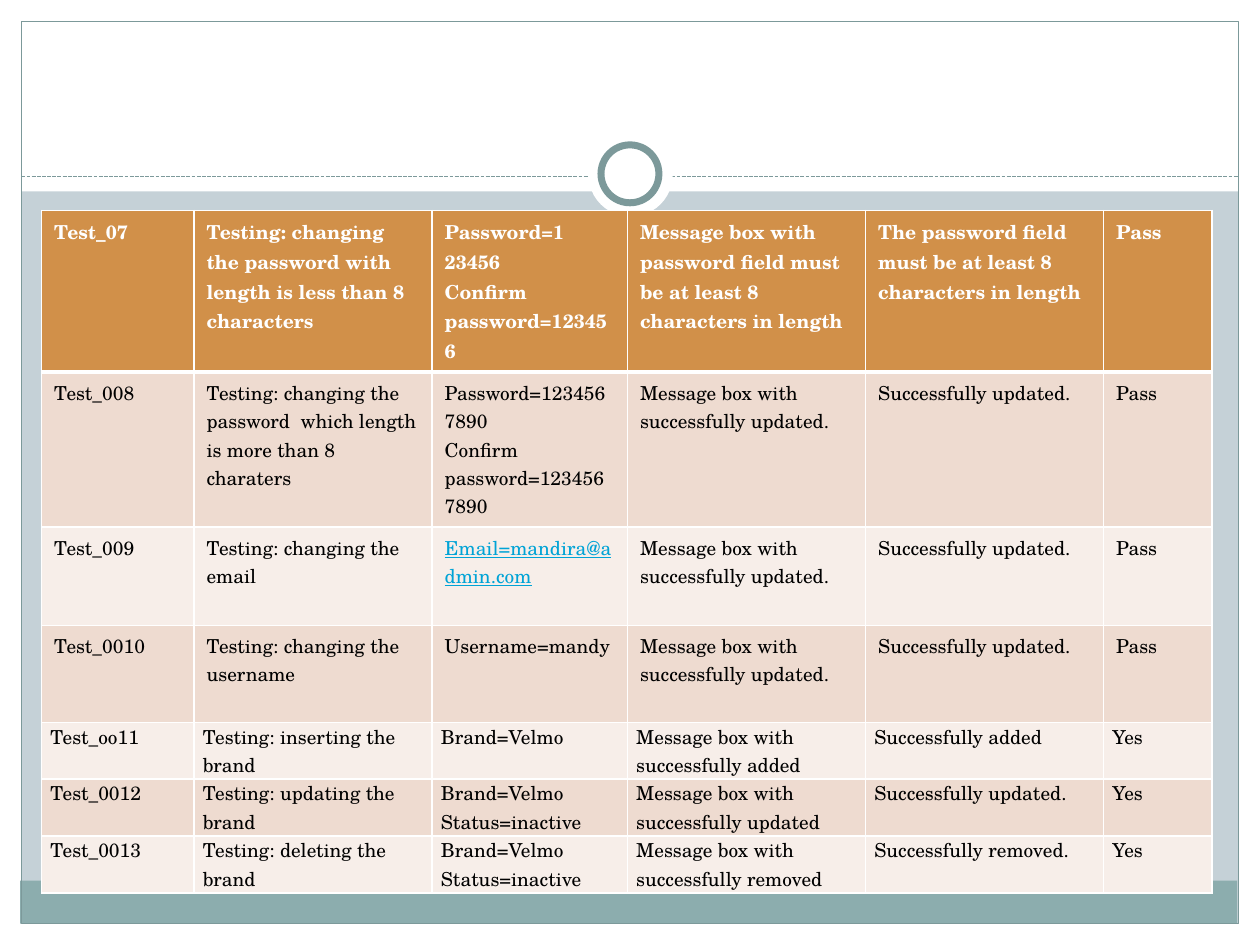
"""Build a slide with a table of test cases on a framed background."""
from dataclasses import dataclass
from typing import Optional

from lxml.etree import SubElement
from pptx import Presentation
from pptx.dml.color import RGBColor
from pptx.enum.dml import MSO_LINE
from pptx.enum.shapes import MSO_CONNECTOR, MSO_SHAPE
from pptx.oxml.ns import qn
from pptx.slide import Slide
from pptx.table import _Cell
from pptx.util import Inches, Pt

WHITE = RGBColor(0xFF, 0xFF, 0xFF)
BLACK = RGBColor(0x00, 0x00, 0x00)
BACKGROUND = RGBColor(0xC5, 0xD1, 0xD7)
FOOTER = RGBColor(0x8C, 0xAD, 0xAE)
FRAME = RGBColor(0x7C, 0x99, 0x9A)
HEADER = RGBColor(0xD1, 0x90, 0x49)
BAND_DARK = RGBColor(0xEE, 0xDB, 0xD0)
BAND_LIGHT = RGBColor(0xF7, 0xEE, 0xE9)
LINK = RGBColor(0x00, 0xA3, 0xD6)
FONT = "TeX Gyre Schola"


@dataclass(frozen=True)
class Panel:
    left: float
    top: float
    width: float
    height: float
    fill: Optional[RGBColor] = WHITE
    line_width: float = 0
    kind: MSO_SHAPE = MSO_SHAPE.RECTANGLE


@dataclass(frozen=True)
class TestCase:
    height: float
    texts: tuple[str, ...]
    compact: bool = False


PANELS = (
    Panel(0, 7.33, 10, 0.17),
    Panel(0, 0, 10, 1.52),
    Panel(0, 0, 0.17, 7.5),
    Panel(9.83, 0, 0.17, 7.5),
    Panel(0.16, 6.99, 9.66, 0.34, FOOTER),
    Panel(0.17, 0.17, 9.66, 7.16, None, 0.75),
)
RINGS = (
    Panel(4.67, 1.05, 0.67, 0.67, kind=MSO_SHAPE.OVAL),
    Panel(4.77, 1.15, 0.46, 0.46, line_width=4, kind=MSO_SHAPE.OVAL),
)
COLUMN_WIDTHS = (1.21, 1.89, 1.55, 1.89, 1.89, 0.86)
EMAIL = "Email=mandira@admin.com"
UPDATED = "Successfully updated."
UPDATED_BOX = "Message box with successfully updated."
TEST_CASES = (
    TestCase(1.28, (
        "Test_07",
        "Testing: changing the password with length is less than 8 characters",
        "Password=1\n23456\nConfirm password=123456",
        "Message box with password field must be at least 8 characters in length",
        "The password field must be at least 8 characters in length",
        "Pass",
    )),
    TestCase(1.23, (
        "Test_008",
        "Testing: changing the password  which length is more than 8 charaters",
        "Password=1234567890\nConfirm password=1234567890",
        UPDATED_BOX, UPDATED, "Pass",
    )),
    TestCase(0.78, ("Test_009", "Testing: changing the email", EMAIL,
                    UPDATED_BOX, UPDATED, "Pass")),
    TestCase(0.77, ("Test_0010", "Testing: changing the username", "Username=mandy",
                    UPDATED_BOX, UPDATED, "Pass")),
    TestCase(0.45, ("Test_oo11", "Testing: inserting the brand", "Brand=Velmo",
                    "Message box with successfully added", "Successfully added", "Yes"), True),
    TestCase(0.45, ("Test_0012", "Testing: updating the brand", "Brand=Velmo\nStatus=inactive",
                    "Message box with successfully updated", UPDATED, "Yes"), True),
    TestCase(0.45, ("Test_0013", "Testing: deleting the brand", "Brand=Velmo\nStatus=inactive",
                    "Message box with successfully removed", "Successfully removed.", "Yes"), True),
)


def add_panel(slide: Slide, panel: Panel) -> None:
    """Draw one background shape."""
    shape = slide.shapes.add_shape(panel.kind, Inches(panel.left), Inches(panel.top),
                                   Inches(panel.width), Inches(panel.height))
    shape.shadow.inherit = False
    if panel.fill is None:
        shape.fill.background()
    else:
        shape.fill.solid()
        shape.fill.fore_color.rgb = panel.fill
    if panel.line_width:
        shape.line.color.rgb = FRAME
        shape.line.width = Pt(panel.line_width)
    else:
        shape.line.fill.background()


def add_divider(slide: Slide) -> None:
    """Draw the dashed line below the title area."""
    divider = slide.shapes.add_connector(MSO_CONNECTOR.STRAIGHT, Inches(0.17), Inches(1.4),
                                         Inches(9.83), Inches(1.4))
    divider.line.color.rgb = FRAME
    divider.line.width = Pt(0.75)
    divider.line.dash_style = MSO_LINE.SQUARE_DOT
    SubElement(divider._element.spPr, qn("a:effectLst"))


def set_borders(cell: _Cell, top: float, bottom: float) -> None:
    """Give a cell white borders, placed before its fill."""
    properties = cell._tc.get_or_add_tcPr()
    widths = {"a:lnL": 1, "a:lnR": 1, "a:lnT": top, "a:lnB": bottom}
    for position, (tag, width) in enumerate(widths.items()):
        border = SubElement(properties, qn(tag), w=str(Pt(width)))
        fill = SubElement(border, qn("a:solidFill"))
        SubElement(fill, qn("a:srgbClr"), val=str(WHITE))
        properties.insert(position, border)


def fill_cell(cell: _Cell, text: str, row: int, compact: bool) -> None:
    """Write and style one table cell."""
    is_header = row == 0
    cell.fill.solid()
    cell.fill.fore_color.rgb = HEADER if is_header else BAND_DARK if row % 2 else BAND_LIGHT
    set_borders(cell, 3 if row == 1 else 1, 3 if is_header else 1)
    cell.margin_left = cell.margin_right = Inches(0.07 if compact else 0.1)
    cell.margin_top = cell.margin_bottom = Inches(0 if compact else 0.05)
    cell.text = text
    for paragraph in cell.text_frame.paragraphs:
        font = paragraph.font
        font.name = FONT
        font.size = Pt(11)
        font.bold = is_header
        font.underline = text == EMAIL
        font.color.rgb = WHITE if is_header else LINK if text == EMAIL else BLACK


def add_test_table(slide: Slide) -> None:
    """Draw the table of test cases."""
    height = sum(case.height for case in TEST_CASES)
    table = slide.shapes.add_table(len(TEST_CASES), len(COLUMN_WIDTHS), Inches(0.33),
                                   Inches(1.67), Inches(sum(COLUMN_WIDTHS)),
                                   Inches(height)).table
    for column, width in zip(table.columns, COLUMN_WIDTHS):
        column.width = Inches(width)
    for row, case in enumerate(TEST_CASES):
        table.rows[row].height = Inches(case.height)
        for column, text in enumerate(case.texts):
            fill_cell(table.cell(row, column), text, row, case.compact)


def main() -> None:
    """Build and save the presentation."""
    presentation = Presentation()
    presentation.slide_width = Inches(10)
    presentation.slide_height = Inches(7.5)
    slide = presentation.slides.add_slide(presentation.slide_layouts[6])
    slide.background.fill.solid()
    slide.background.fill.fore_color.rgb = BACKGROUND
    for panel in PANELS:
        add_panel(slide, panel)
    add_divider(slide)
    for ring in RINGS:
        add_panel(slide, ring)
    add_test_table(slide)
    presentation.save("out.pptx")


if __name__ == "__main__":
    main()
